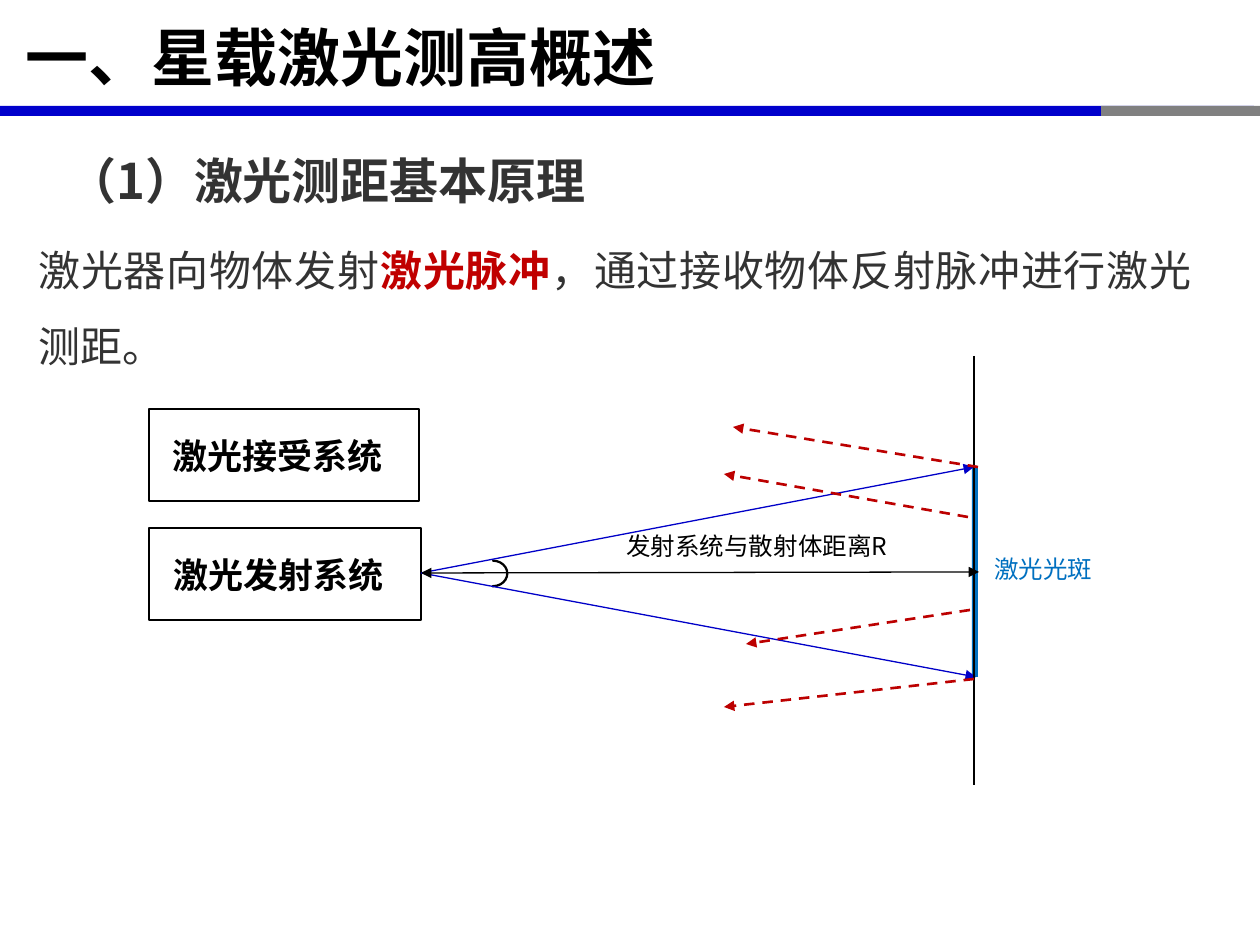
from lxml import etree
from pptx import Presentation
from pptx.dml.color import RGBColor
from pptx.enum.dml import MSO_LINE
from pptx.enum.shapes import MSO_CONNECTOR, MSO_SHAPE
from pptx.enum.text import MSO_ANCHOR, MSO_AUTO_SIZE, PP_ALIGN
from pptx.oxml.ns import qn
from pptx.util import Emu, Pt

RECT, ARC = MSO_SHAPE.RECTANGLE, MSO_SHAPE.BLOCK_ARC
STRAIGHT, DASH = MSO_CONNECTOR.STRAIGHT, MSO_LINE.DASH
TOP, MIDDLE = MSO_ANCHOR.TOP, MSO_ANCHOR.MIDDLE
LEFT, CENTER, JUSTIFY = PP_ALIGN.LEFT, PP_ALIGN.CENTER, PP_ALIGN.JUSTIFY
FIT, FIXED = MSO_AUTO_SIZE.SHAPE_TO_FIT_TEXT, MSO_AUTO_SIZE.NONE
FONT = "Noto Sans CJK SC"
PX = 914400 / 126
COLORS = {"black": "000000", "text": "333333", "red": "C00000", "echo": "BC0000",
          "beam": "0000C8", "bar": "0000CC", "gray": "808080", "spot": "0070C0",
          "arc": "262626"}


def px(*values):
    return [Emu(round(v * PX)) for v in values]


def write(sp, runs, size, align, paragraph, frame):
    tf = sp.text_frame
    for name, value in frame.items():
        setattr(tf, name, value)
    p = tf.paragraphs[0]
    p.alignment = align
    for name, value in paragraph.items():
        setattr(p, name, value)
    for text, color, bold in runs:
        r = p.add_run()
        r.text = text
        for name, value in {"name": FONT, "size": Pt(size), "bold": bold}.items():
            setattr(r.font, name, value)
        r.font.color.rgb = RGBColor.from_string(COLORS[color])
        etree.SubElement(r.font._element, qn("a:ea"), typeface=FONT)


prs = Presentation()
prs.slide_width, prs.slide_height = px(1260, 945)
s = prs.slides.add_slide(prs.slide_layouts[6])

shapes = [
    (RECT, (0, 106, 1254, 10), "bar", None, 0),
    (RECT, (1101, 106, 159, 10), "gray", None, 0),
    (RECT, (149, 528, 272, 92), None, 1.5, "激光发射系统"),
    (RECT, (149, 409, 270, 92), None, 1.5, "激光接受系统"),
    (RECT, (972, 467, 6, 210), "spot", None, 0),
    (ARC, (480, 559, 26, 29), "arc", 1, 0),
]
box_frame = {"vertical_anchor": MIDDLE, "margin_left": 0, "word_wrap": True}
for kind, box, fill, width, label in shapes:
    sp = s.shapes.add_shape(kind, *px(*box))
    sp.shadow.inherit = False
    if fill:
        sp.fill.solid()
        sp.fill.fore_color.rgb = RGBColor.from_string(COLORS[fill])
    else:
        sp.fill.background()
    if width:
        sp.line.color.rgb = RGBColor.from_string(COLORS["black"])
        sp.line.width = Pt(width)
    else:
        sp.line.fill.background()
    if kind == ARC:
        sp.rotation = 90
        for i, value in enumerate((108, 1.47, 0.02)):
            sp.adjustments[i] = value
    if label:
        write(sp, [(label, "black", True)], 20, CENTER, {}, box_frame)

lines = [
    ((421, 573, 974, 467), "beam", 0.75, ["tailEnd"]),
    ((421, 573, 976, 677), "beam", 0.75, ["tailEnd"]),
    ((974, 356, 974, 785), "black", 0.75, []),
    ((974, 679, 724, 707), "echo", 1.5, ["tailEnd"]),
    ((978, 467, 733, 427), "echo", 1.5, ["tailEnd"]),
    ((421, 573, 979, 572), "black", 0.75, ["headEnd", "tailEnd"]),
    ((970, 610, 746, 644), "echo", 1.5, ["tailEnd"]),
    ((968, 517, 724, 474), "echo", 1.5, ["tailEnd"]),
]
for ends, color, width, heads in lines:
    sp = s.shapes.add_connector(STRAIGHT, *px(*ends))
    sp.line.color.rgb = RGBColor.from_string(COLORS[color])
    sp.line.width = Pt(width)
    if color == "echo":
        sp.line.dash_style = DASH
    for head in heads:
        etree.SubElement(sp.line._ln, qn(f"a:{head}"), type="triangle")
    etree.SubElement(sp._element.spPr, qn("a:effectLst"))

title_frame = {"word_wrap": True, "vertical_anchor": MIDDLE, "auto_size": FIXED,
               "margin_left": px(25)[0]}
body_frame = {"word_wrap": True, "vertical_anchor": TOP, "auto_size": FIT}
label_frame = {"word_wrap": False, "vertical_anchor": TOP, "auto_size": FIT}
spaced = {"line_spacing": 1.5}
texts = [
    ((0, 1, 1242, 110), [("一、星载激光测高概述", "black", True)], 36, LEFT, {}, title_frame),
    ((55, 115, 1145, 91), [("（1）激光测距基本原理", "text", True)], 28, JUSTIFY, spaced, body_frame),
    ((26, 213, 1178, 156), [("激光器向物体发射", "text", False), ("激光脉冲", "red", True),
                            ("，通过接收物体反射脉冲进行激光测距。", "text", False)],
     24, JUSTIFY, spaced, body_frame),
    ((605, 525, 304, 52), [("发射系统与散射体距离R", "black", False)], 14, CENTER, {}, label_frame),
    ((978, 548, 131, 52), [("激光光斑", "spot", False)], 14, CENTER, {}, label_frame),
]
for box, runs, size, align, paragraph, frame in texts:
    sp = s.shapes.add_textbox(*px(*box))
    write(sp, runs, size, align, paragraph, frame)

prs.save("out.pptx")
